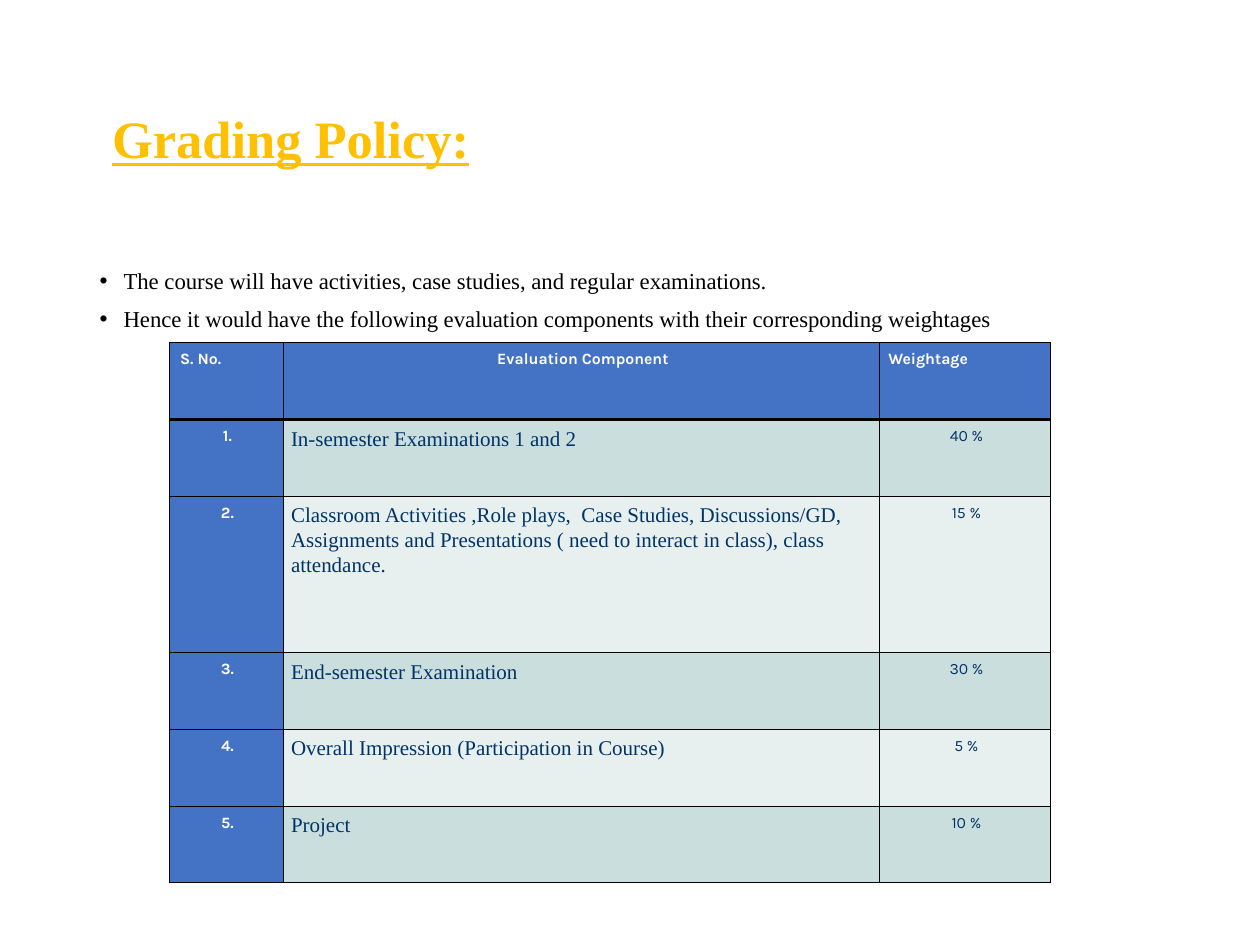
"""Build the grading policy slide with its weightage table."""
from dataclasses import dataclass

import pptx
import pptx.dml.color
import pptx.enum.text
import pptx.oxml
import pptx.oxml.ns
import pptx.util

COLORS = {
    "gold": "FFC000",
    "ink": "000000",
    "header": "4472C4",
    "white": "FFFFFF",
    "navy": "003366",
    "odd": "CBDEDE",
    "even": "E7EFEF",
}
SERIF, SANS = "Times New Roman", "Karla"
SLIDE_WIDTH, SLIDE_HEIGHT = pptx.util.Inches(10), pptx.util.Inches(7.5)
LEFT, CENTER = pptx.enum.text.PP_ALIGN.LEFT, pptx.enum.text.PP_ALIGN.CENTER
THIN, THICK = 0.45, 1.47
COLUMN_SHARES = (9.1, 47.3, 13.6)
SHORT_ROW, TALL_ROW = 8.13, 16.53

FORMATS = {
    "title": {"name": SERIF, "size": pptx.util.Pt(30), "bold": True, "underline": True},
    "list": {"name": SERIF, "size": pptx.util.Pt(13), "bold": False},
    "heading": {"name": SANS, "size": pptx.util.Pt(9), "bold": True},
    "component": {"name": SERIF, "size": pptx.util.Pt(12), "bold": False},
    "weightage": {"name": SANS, "size": pptx.util.Pt(9), "bold": False},
}


@dataclass(frozen=True)
class Component:
    name: str
    weightage: str
    height: float = SHORT_ROW


@dataclass(frozen=True)
class Entry:
    text: str
    style: str
    ink: str
    fill: str
    align: pptx.enum.text.PP_ALIGN = CENTER
    indent: float = 0


POLICY = (
    "The course will have activities, case studies, and regular examinations.",
    "Hence it would have the following evaluation components with their corresponding weightages",
)
COMPONENTS = (
    Component("In-semester Examinations 1 and 2", "40 %"),
    Component(
        "Classroom Activities ,Role plays,  Case Studies, Discussions/GD, "
        "Assignments and Presentations ( need to interact in class), class attendance.",
        "15 %",
        TALL_ROW,
    ),
    Component("End-semester Examination", "30 %"),
    Component("Overall Impression (Participation in Course)", "5 %"),
    Component("Project", "10 %"),
)
HEADINGS = (
    Entry("S. No.", "heading", "white", "header", LEFT, 0.3),
    Entry("Evaluation Component", "heading", "white", "header"),
    Entry("Weightage", "heading", "white", "header", LEFT, 0.1),
)


def across(percent: float) -> int:
    """Return a percentage of the slide width."""
    return round(SLIDE_WIDTH * percent / 100)


def down(percent: float) -> int:
    """Return a percentage of the slide height."""
    return round(SLIDE_HEIGHT * percent / 100)


def assign(target, values: dict) -> None:
    """Set every attribute named in the values."""
    for attribute, value in values.items():
        setattr(target, attribute, value)


def write(paragraph, text: str, style: str, ink: str) -> None:
    """Add one formatted run to a paragraph."""
    run = paragraph.add_run()
    run.text = text
    assign(run.font, FORMATS[style])
    run.font.color.rgb = pptx.dml.color.RGBColor.from_string(COLORS[ink])


def indent(paragraph, margin: int, first: int = 0) -> None:
    """Set the left margin and first-line indent."""
    properties = paragraph._p.get_or_add_pPr()
    properties.set("marL", str(margin))
    properties.set("indent", str(first))


def border(cell, top: float, bottom: float) -> None:
    """Draw the four cell edges ahead of the fill."""
    edges = {"lnL": THIN, "lnR": THIN, "lnT": top, "lnB": bottom}
    for position, (edge, weight) in enumerate(edges.items()):
        line = pptx.oxml.parse_xml(
            f'<a:{edge} {pptx.oxml.ns.nsdecls("a")} w="{pptx.util.Pt(weight)}">'
            f'<a:solidFill><a:srgbClr val="{COLORS["ink"]}"/></a:solidFill></a:{edge}>'
        )
        cell._tc.get_or_add_tcPr().insert(position, line)


def fill_cell(cell, entry: Entry, top: float, bottom: float) -> None:
    """Write, colour and outline one table cell."""
    assign(cell, {
        "margin_left": across(0.6),
        "margin_right": across(0.4),
        "margin_top": across(0.5),
        "margin_bottom": across(0.5),
    })
    cell.fill.solid()
    cell.fill.fore_color.rgb = pptx.dml.color.RGBColor.from_string(COLORS[entry.fill])
    paragraph = cell.text_frame.paragraphs[0]
    assign(paragraph, {"alignment": entry.align, "line_spacing": 1.07})
    indent(paragraph, across(entry.indent))
    write(paragraph, entry.text, entry.style, entry.ink)
    border(cell, top, bottom)


def place_title(title) -> None:
    """Move and write the slide title."""
    assign(title, {"left": across(6.9), "top": down(5.33),
                   "width": across(86.3), "height": down(19.33)})
    assign(title.text_frame, {
        "margin_left": across(2),
        "vertical_anchor": pptx.enum.text.MSO_ANCHOR.MIDDLE,
        "auto_size": pptx.enum.text.MSO_AUTO_SIZE.NONE,
    })
    heading = title.text_frame.paragraphs[0]
    assign(heading, {"alignment": LEFT, "line_spacing": 0.9})
    write(heading, "Grading Policy:", "title", "gold")


def place_policy(body) -> None:
    """Move the body placeholder and write its bullets."""
    assign(body, {"left": across(6.9), "top": down(27.87),
                  "width": across(76.6), "height": down(52.13)})
    body.text_frame.auto_size = pptx.enum.text.MSO_AUTO_SIZE.NONE
    for number, statement in enumerate(POLICY):
        frame = body.text_frame
        bullet = frame.add_paragraph() if number else frame.paragraphs[0]
        assign(bullet, {"line_spacing": 0.9, "space_before": pptx.util.Pt(7.5)})
        indent(bullet, across(1.9), -across(1.9))
        write(bullet, statement, "list", "ink")


def place_weightages(slide) -> None:
    """Draw the table of evaluation components."""
    heights = [SHORT_ROW] + [component.height for component in COMPONENTS]
    grid = slide.shapes.add_table(
        len(heights), len(COLUMN_SHARES), across(13.4), down(36.27),
        across(sum(COLUMN_SHARES)), down(sum(heights)),
    ).table
    for column, share in zip(grid.columns, COLUMN_SHARES):
        column.width = across(share)
    entries = [HEADINGS]
    for number, component in enumerate(COMPONENTS, 1):
        band = "odd" if number % 2 else "even"
        entries.append((
            Entry(f"{number}.", "heading", "white", "header"),
            Entry(component.name, "component", "navy", band, LEFT),
            Entry(component.weightage, "weightage", "navy", band),
        ))
    for index, (row, height) in enumerate(zip(grid.rows, heights)):
        row.height = down(height)
        top, bottom = THICK if index == 1 else THIN, THICK if index == 0 else THIN
        for cell, entry in zip(row.cells, entries[index]):
            fill_cell(cell, entry, top, bottom)


def main() -> None:
    """Assemble and save the slide."""
    deck = pptx.Presentation()
    assign(deck, {"slide_width": SLIDE_WIDTH, "slide_height": SLIDE_HEIGHT})
    slide = deck.slides.add_slide(deck.slide_layouts[1])
    place_title(slide.shapes.title)
    place_policy(slide.placeholders[1])
    place_weightages(slide)
    deck.save("out.pptx")


if __name__ == "__main__":
    main()
